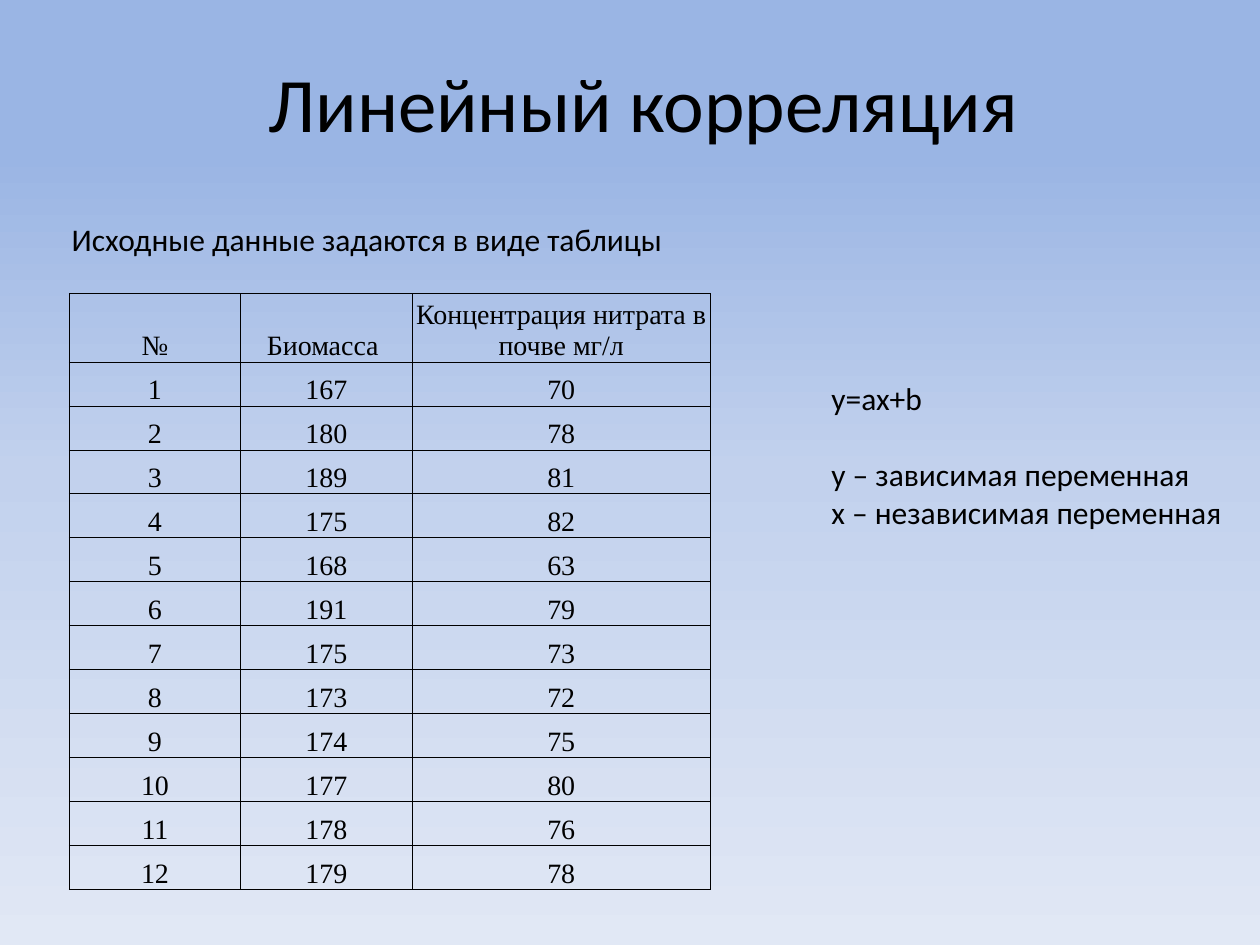
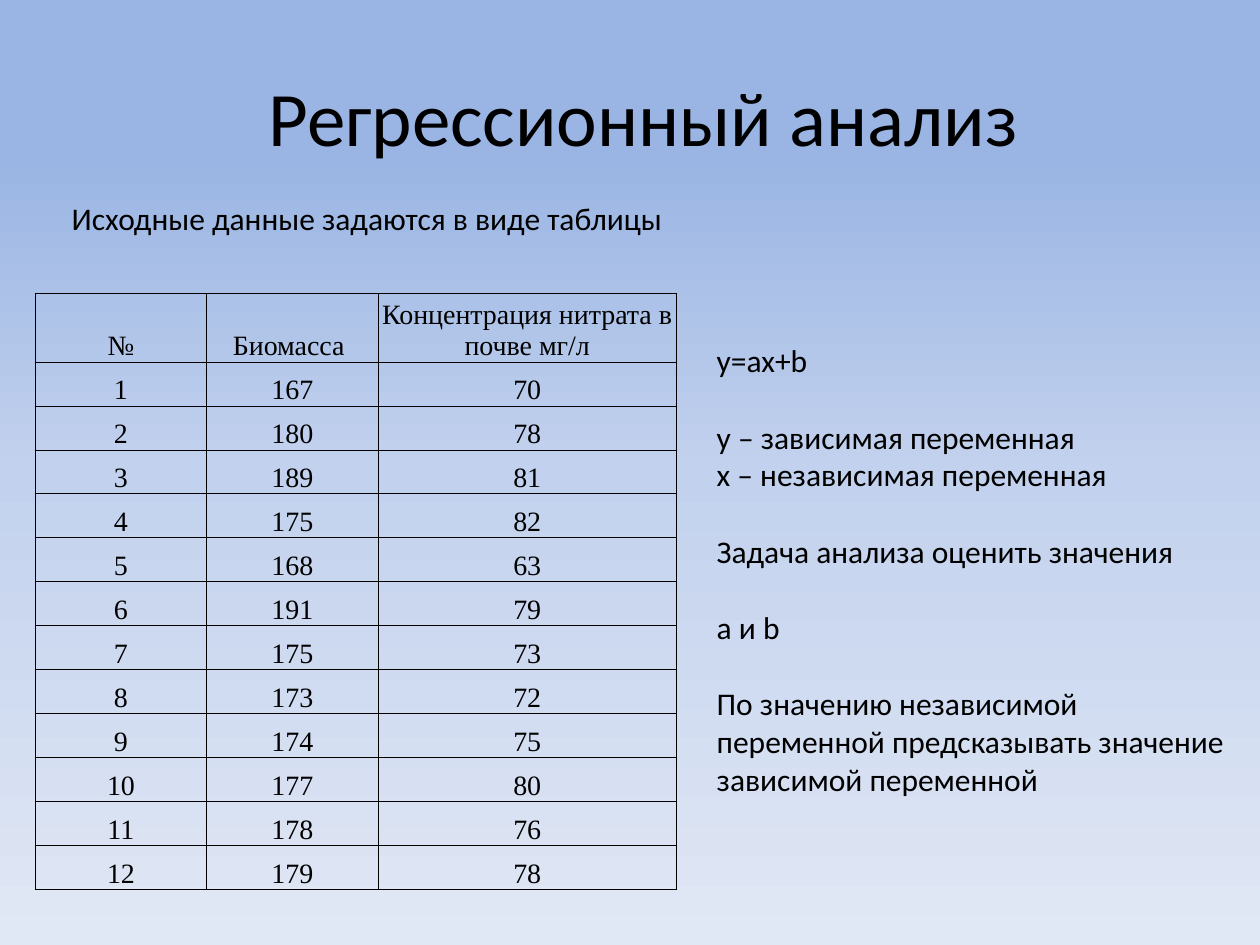
from lxml import etree
from pptx import Presentation
from pptx import util as u
from pptx.dml.color import RGBColor
from pptx.enum import text
from pptx.oxml import parse_xml
from pptx.oxml.ns import nsdecls, qn

COLORS = {"ink": "000000", "top": "9AB5E4", "middle": "C2D1ED", "bottom": "E1E8F5"}
HEADING_FONT, TABLE_FONT = "Calibri", "Times New Roman"

presentation = Presentation()
presentation.slide_width, presentation.slide_height = u.Inches(10), u.Inches(7.5)
# The slide is a grid of 100 columns by 75 rows of square units
UNIT = presentation.slide_width / 100
BLANK_LINE = 22  # points, one line of 18 pt text


def grid(*lengths):
    return [u.Emu(round(length * UNIT)) for length in lengths]


def write(frame, lines, size=18, font=HEADING_FONT, align=text.PP_ALIGN.LEFT,
          anchor=text.MSO_ANCHOR.TOP, wrap=True):
    """Each line is (text, blank lines above it)."""
    frame.word_wrap = wrap
    frame.vertical_anchor = anchor
    for number, (line, gap) in enumerate(lines):
        paragraph = frame.paragraphs[0] if number == 0 else frame.add_paragraph()
        paragraph.alignment = align
        paragraph.space_before = u.Pt(gap * BLANK_LINE)
        run = paragraph.add_run()
        run.text = line
        run.font.size, run.font.name = u.Pt(size), font
        run.font.color.rgb = RGBColor.from_string(COLORS["ink"])


# Shared background: vertical gradient on the master
master = presentation.slide_master
master.background.fill.solid()
background = master.element.find(".//" + qn("p:bgPr"))
stops = "".join(
    f'<a:gs pos="{share * 1000}"><a:srgbClr val="{COLORS[name]}"/></a:gs>'
    for share, name in ((16, "top"), (50, "middle"), (100, "bottom")))
background.replace(background.find(qn("a:solidFill")), parse_xml(
    f'<a:gradFill {nsdecls("a")} rotWithShape="1"><a:gsLst>{stops}</a:gsLst>'
    '<a:lin ang="5400000" scaled="0"/></a:gradFill>'))

# Shared content
INTRO = "Исходные данные задаются в виде таблицы"
HEADER = ("№", "Биомасса ", "Концентрация нитрата в почве мг/л")
BIOMASS = (167, 180, 189, 175, 168, 191, 175, 173, 174, 177, 178, 179)
NITRATE = (70, 78, 81, 82, 63, 79, 73, 72, 75, 80, 76, 78)
ROWS = [HEADER] + list(zip(range(1, len(BIOMASS) + 1), BIOMASS, NITRATE))
COLUMN_WIDTHS = (13.6, 13.6, 23.7)
TABLE_TOP, TABLE_HEIGHT, HEADER_HEIGHT = 23.3, 47.3, 5.4
ROW_HEIGHT = (TABLE_HEIGHT - HEADER_HEIGHT) / len(BIOMASS)
MODEL = [("y=ax+b", 0), ("y – зависимая переменная ", 1), ("x – независимая переменная", 0)]
TASK = [("Задача анализа оценить значения", 1), ("a и b", 1),
        ("По значению независимой переменной предсказывать значение "
         "зависимой переменной ", 1)]

# What differs between the slides
SLIDES = (
    dict(title="Линейный корреляция", title_top=0, intro_top=17, table_left=5.5,
         notes=MODEL, notes_box=(65, 29.6, 33.4, 13.1), wrap=False),
    dict(title="Регрессионный анализ", title_top=1.1, intro_top=15.3, table_left=2.8,
         notes=MODEL + TASK, notes_box=(55.9, 26.6, 43, 37.4), wrap=True),
)

for content in SLIDES:
    slide = presentation.slides.add_slide(presentation.slide_layouts[5])

    # Title
    title = slide.shapes.title
    title.left, title.top, title.width, title.height = grid(8.6, content["title_top"], 85, 16.1)
    write(title.text_frame, [(content["title"], 0)], size=44,
          align=text.PP_ALIGN.CENTER, anchor=text.MSO_ANCHOR.MIDDLE)

    # Introduction and notes
    intro = slide.shapes.add_textbox(*grid(4.7, content["intro_top"], 50.6, 4))
    write(intro.text_frame, [(INTRO, 0)], wrap=False)
    notes = slide.shapes.add_textbox(*grid(*content["notes_box"]))
    write(notes.text_frame, content["notes"], wrap=content["wrap"])

    # Data table
    table = slide.shapes.add_table(len(ROWS), len(HEADER), *grid(
        content["table_left"], TABLE_TOP, sum(COLUMN_WIDTHS), TABLE_HEIGHT)).table
    table.first_row = table.horz_banding = False
    for column, width in zip(table.columns, grid(*COLUMN_WIDTHS)):
        column.width = width
    for row_number, values in enumerate(ROWS):
        row = table.rows[row_number]
        row.height = grid(ROW_HEIGHT if row_number else HEADER_HEIGHT)[0]
        for cell, value in zip(row.cells, values):
            cell.margin_left = cell.margin_right = cell.margin_top = u.Inches(0.01)
            cell.margin_bottom = 0
            cell.vertical_anchor = text.MSO_ANCHOR.BOTTOM
            write(cell.text_frame, [(str(value), 0)], size=16, font=TABLE_FONT,
                  align=text.PP_ALIGN.CENTER, anchor=None, wrap=None)
            cell.fill.background()
            # Borders come before the fill
            properties = cell._tc.get_or_add_tcPr()
            for position, side in enumerate(("lnL", "lnR", "lnT", "lnB")):
                border = etree.Element(qn("a:" + side), w=str(u.Pt(0.5)))
                fill = etree.SubElement(border, qn("a:solidFill"))
                etree.SubElement(fill, qn("a:srgbClr"), val=COLORS["ink"])
                properties.insert(position, border)

presentation.save("out.pptx")
